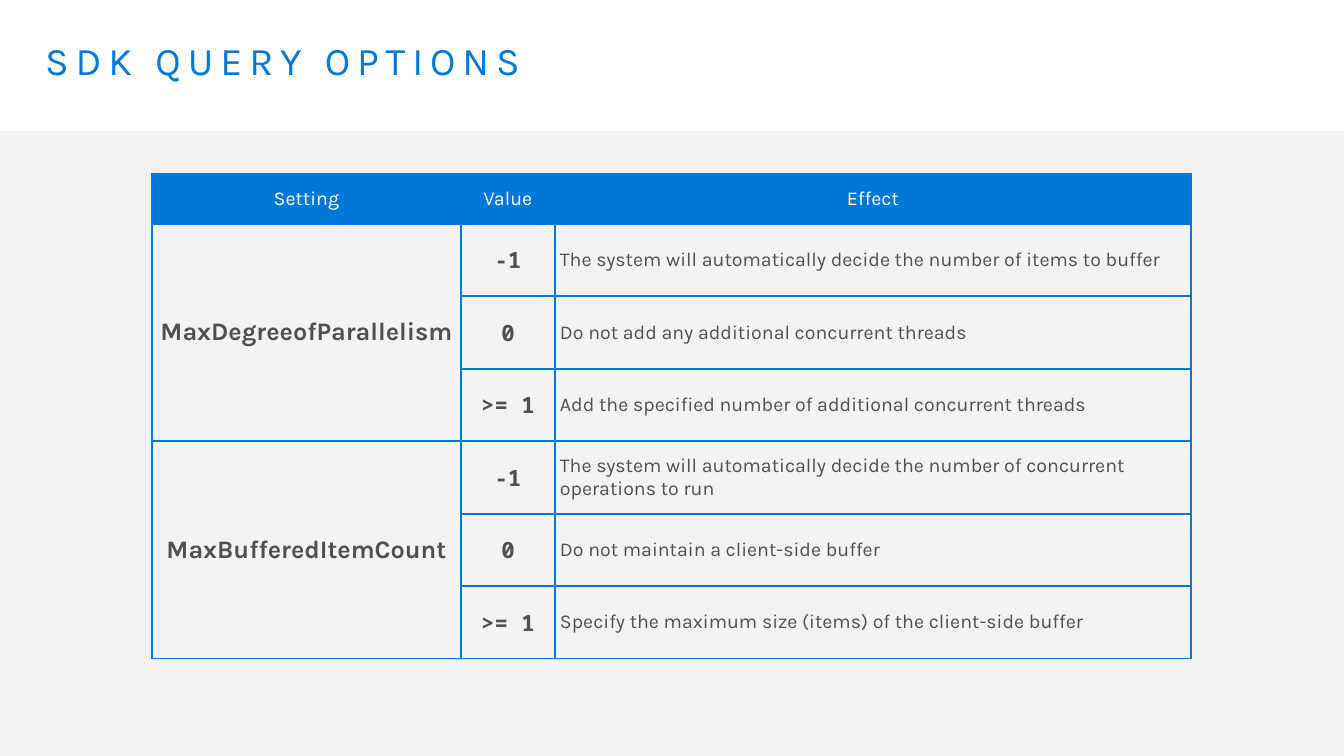
from lxml.etree import SubElement
from pptx import Presentation
from pptx.dml.color import RGBColor
from pptx.enum.shapes import MSO_SHAPE
from pptx.enum.text import MSO_ANCHOR, MSO_AUTO_SIZE, PP_ALIGN
from pptx.oxml.ns import qn
from pptx.util import Pt

EMU_PER_PX = 914400 / 100.8
BLUE = RGBColor(0x00, 0x78, 0xD7)
GREY = RGBColor(0x50, 0x50, 0x50)
PALE = RGBColor(0xF2, 0xF2, 0xF2)
WHITE = RGBColor(0xFF, 0xFF, 0xFF)

HEADER = {"name": "Karla", "size": Pt(14), "bold": False}
SETTING = {"name": "Karla", "size": Pt(18), "bold": True}
VALUE = {"name": "Noto Sans Mono", "size": Pt(16), "bold": True}
EFFECT = {"name": "Karla", "size": Pt(14), "bold": False}
TITLE = {"name": "Karla", "size": Pt(28), "bold": False}

COLUMN_WIDTHS = [309, 94, 636]
ROW_HEIGHTS = [50] + [72, 73] * 3
HEADINGS = ["Setting", "Value", "Effect"]
VALUES = ["-1", "0", ">= 1"]
SETTINGS = {
    "MaxDegreeofParallelism": [
        "The system will automatically decide the number of items to buffer",
        "Do not add any additional concurrent threads",
        "Add the specified number of additional concurrent threads",
    ],
    "MaxBufferedItemCount": [
        "The system will automatically decide the number of concurrent operations to run",
        "Do not maintain a client-side buffer",
        "Specify the maximum size (items) of the client-side buffer",
    ],
}


def px(length):
    return round(length * EMU_PER_PX)


def set_values(target, values):
    for name, value in values.items():
        setattr(target, name, value)


def write(para, text, style, color):
    span = para.add_run()
    span.text = text
    set_values(span.font, style)
    span.font.color.rgb = color
    return span


def add_band(page):
    """Add the translucent panel below the title."""
    band = page.shapes.add_shape(MSO_SHAPE.RECTANGLE, 0, px(131), px(1344), px(625))
    band.shadow.inherit = False
    band.line.fill.background()
    band.fill.solid()
    band.fill.fore_color.rgb = PALE
    color = band.fill._xPr.find(qn("a:solidFill"))[0]
    SubElement(color, qn("a:alpha"), val="89000")
    page.shapes._spTree.insert(2, band._element)


def format_title(page, text):
    title = page.shapes.title
    set_values(title, {"left": px(29), "top": px(32), "width": px(1285), "height": px(99)})
    frame = title.text_frame
    set_values(frame, {
        "margin_left": px(16), "margin_right": px(16),
        "margin_top": px(10), "margin_bottom": px(10),
        "vertical_anchor": MSO_ANCHOR.TOP, "auto_size": MSO_AUTO_SIZE.NONE,
        "word_wrap": True,
    })
    para = frame.paragraphs[0]
    set_values(para, {"alignment": PP_ALIGN.LEFT, "line_spacing": 0.9})
    span = write(para, text, TITLE, BLUE)
    span.font._element.set("spc", "500")


def format_cell(cell):
    """Set margins and blue borders, and leave the cell unfilled."""
    set_values(cell, {
        "margin_left": px(5), "margin_right": px(5),
        "margin_top": px(5), "margin_bottom": px(5),
        "vertical_anchor": MSO_ANCHOR.MIDDLE,
    })
    properties = cell._tc.get_or_add_tcPr()
    for side in ("lnL", "lnR", "lnT", "lnB"):
        border = SubElement(properties, qn(f"a:{side}"), w=str(Pt(1)))
        fill = SubElement(border, qn("a:solidFill"))
        SubElement(fill, qn("a:srgbClr"), val=str(BLUE))
    cell.fill.background()


def write_cell(cell, text, style, color=GREY, alignment=PP_ALIGN.CENTER):
    para = cell.text_frame.paragraphs[0]
    para.alignment = alignment
    write(para, text, style, color)


def add_options_table(page):
    frame = page.shapes.add_table(
        len(ROW_HEIGHTS), len(COLUMN_WIDTHS), px(152), px(174),
        px(sum(COLUMN_WIDTHS)), px(sum(ROW_HEIGHTS)))
    table = frame.table
    set_values(table, {"first_row": False, "horz_banding": False})
    for column, width in zip(table.columns, COLUMN_WIDTHS):
        column.width = px(width)
    for row, height in zip(table.rows, ROW_HEIGHTS):
        row.height = px(height)
    for cell in table.iter_cells():
        format_cell(cell)

    for column, heading in enumerate(HEADINGS):
        cell = table.cell(0, column)
        cell.fill.solid()
        cell.fill.fore_color.rgb = BLUE
        write_cell(cell, heading, HEADER, WHITE)

    for group, (setting, effects) in enumerate(SETTINGS.items()):
        first = 1 + group * len(VALUES)
        table.cell(first, 0).merge(table.cell(first + len(VALUES) - 1, 0))
        write_cell(table.cell(first, 0), setting, SETTING)
        for row, (value, effect) in enumerate(zip(VALUES, effects), first):
            write_cell(table.cell(row, 1), value, VALUE)
            write_cell(table.cell(row, 2), effect, EFFECT, alignment=PP_ALIGN.LEFT)


def main():
    deck = Presentation()
    set_values(deck, {"slide_width": px(1344), "slide_height": px(756)})
    page = deck.slides.add_slide(deck.slide_layouts[5])
    add_band(page)
    format_title(page, "SDK QUERY OPTIONS")
    add_options_table(page)
    deck.save("out.pptx")


if __name__ == "__main__":
    main()
